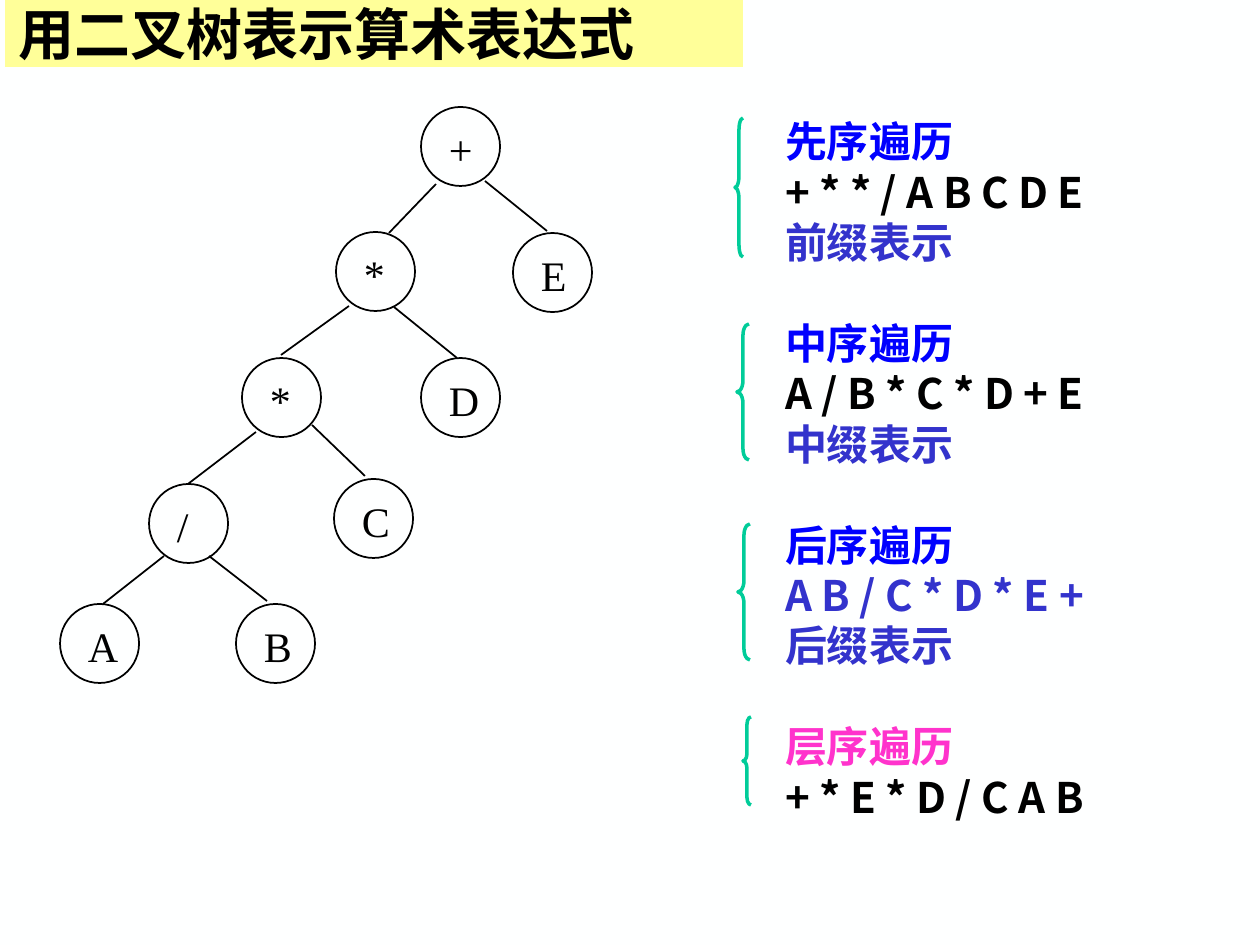
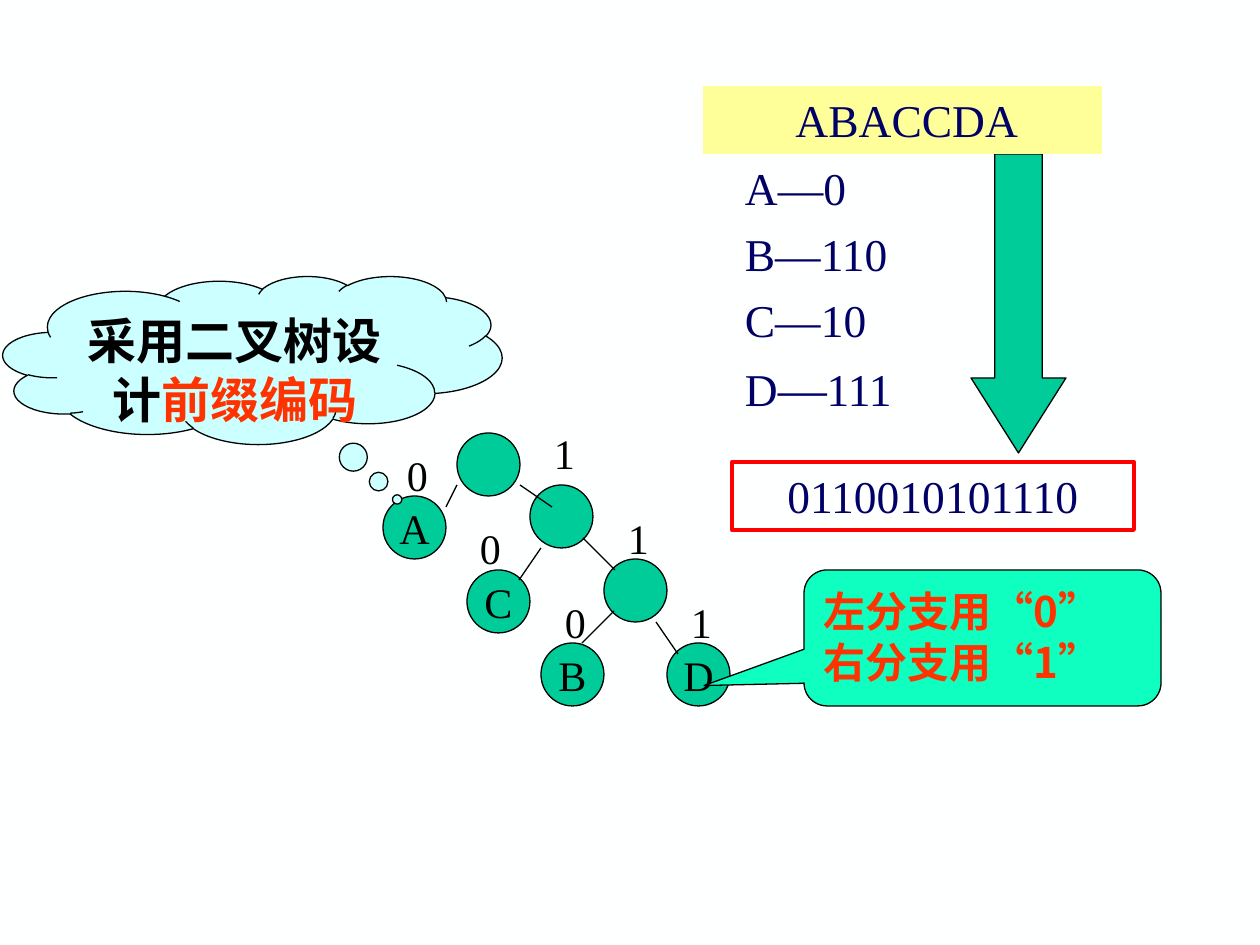
"""Build two slides on binary trees: arithmetic expressions and prefix codes."""
from lxml.etree import SubElement
from pptx import Presentation
from pptx.dml.color import RGBColor
from pptx.enum.shapes import MSO_CONNECTOR, MSO_SHAPE
from pptx.enum.text import MSO_ANCHOR, PP_ALIGN
from pptx.oxml.ns import qn
from pptx.util import Emu, Pt

SCALE = 914400 / 126
LEADING = 1.2
SERIF, SANS = "Times New Roman", "Noto Sans CJK SC"
COLORS = {
    "background": "FEFFFF", "black": "000000", "band": "FFFF99", "green": "00CC99",
    "blue": "0000FF", "indigo": "3333CC", "pink": "FF33CC", "navy": "000066",
    "orange": "FF3300", "red": "FF0000", "cloud": "CCFFFF", "mint": "0FFFC0",
}

TITLE = "用二叉树表示算术表达式"
EXPRESSION_NODES = [
    ("+", 421, 107), ("*", 336, 232), ("E", 513, 233),
    ("*", 242, 358), ("D", 421, 358), ("/", 149, 484),
    ("C", 334, 479), ("A", 60, 604), ("B", 236, 604),
]
EXPRESSION_EDGES = [
    (436, 184, 389, 233), (485, 181, 547, 231), (349, 306, 281, 355),
    (394, 307, 457, 358), (256, 432, 188, 484), (312, 425, 365, 476),
    (164, 556, 103, 604), (209, 556, 267, 601),
]
TRAVERSALS = [
    [("先序遍历", "blue"), ("+ * * / A B C D E", "black"), ("前缀表示", "indigo")],
    [("中序遍历", "blue"), ("A / B * C * D + E", "black"), ("中缀表示", "indigo")],
    [("后序遍历", "blue"), ("A B / C * D * E +", "indigo"), ("后缀表示", "indigo")],
    [("层序遍历", "pink"), ("+ * E * D / C A B", "black")],
]
BRACES = [(735, 118, 8, 139), (737, 324, 12, 136), (738, 524, 12, 136), (743, 717, 8, 88)]

CODE_NODES = [
    ("", 457, 433), ("", 530, 485), ("", 604, 559), ("A", 383, 496),
    ("C", 467, 570), ("B", 541, 643), ("D", 667, 643),
]
CODE_EDGES = [
    (457, 485, 446, 507), (520, 485, 552, 507), (541, 548, 519, 580),
    (614, 611, 582, 643), (656, 622, 678, 654), (583, 538, 615, 570),
]
BRANCH_BITS = [
    ("0", 394, 444), ("0", 467, 517), ("0", 552, 591),
    ("1", 541, 422), ("1", 615, 507), ("1", 678, 591),
]
CODES = [["A—0"], ["B—110"], ["C—10"], ["D", ("—", {"size": 28}), "111"]]
CLOUD_TEXT = [["采用二叉树设计", ("前缀编码", {"color": "orange"})]]
BRANCH_RULES = [["左分支用“0”"], ["右分支用“1”"]]


def px(*lengths):
    return [Emu(round(length * SCALE)) for length in lengths]


def rgb(name):
    return RGBColor.from_string(COLORS[name])


def write(shape, paragraphs, size=24, font=SERIF, color="black", bold=False,
          align=PP_ALIGN.LEFT, anchor=MSO_ANCHOR.TOP, wrap=True, gap=0, gap_every=1):
    """Fill a shape with paragraphs, each a list of texts or (text, overrides)."""
    frame = shape.text_frame
    frame.word_wrap, frame.vertical_anchor = wrap, anchor
    top_inset = 9 if font == SANS else 6
    frame.margin_left, frame.margin_top, frame.margin_right, frame.margin_bottom = px(
        13, top_inset, 13, 6)
    for index, pieces in enumerate(paragraphs):
        paragraph = frame.add_paragraph() if index else frame.paragraphs[0]
        paragraph.alignment = align
        if index and index % gap_every == 0:
            paragraph.space_before = Pt(gap)
        largest = size
        for piece in pieces:
            text, changes = (piece, {}) if isinstance(piece, str) else piece
            run = paragraph.add_run()
            run.text = text
            run_size = changes.get("size", size)
            largest = max(largest, run_size)
            run.font.size, run.font.bold, run.font.name = Pt(run_size), bold, font
            run.font.color.rgb = rgb(changes.get("color", color))
            SubElement(run.font._element, qn("a:ea"), typeface=font)
        paragraph.line_spacing = Pt(LEADING * largest)


def add_shape(slide, kind, box, fill=None, line=None, width=0.75, adjustments=()):
    shape = slide.shapes.add_shape(kind, *px(*box))
    shape.shadow.inherit = False
    if fill:
        shape.fill.solid()
        shape.fill.fore_color.rgb = rgb(fill)
    else:
        shape.fill.background()
    if line:
        shape.line.color.rgb = rgb(line)
        shape.line.width = Pt(width)
    else:
        shape.line.fill.background()
    for index, value in enumerate(adjustments):
        shape.adjustments[index] = value
    return shape


def add_text(slide, box, paragraphs, **text_format):
    write(slide.shapes.add_textbox(*px(*box)), paragraphs, **text_format)


def add_edges(slide, edges, width):
    for edge in edges:
        connector = slide.shapes.add_connector(MSO_CONNECTOR.STRAIGHT, *px(*edge))
        connector.line.color.rgb = rgb("black")
        connector.line.width = Pt(width)
        SubElement(connector._element.spPr, qn("a:effectLst"))


def build_expression_slide(slide):
    for label, left, top in EXPRESSION_NODES:
        add_shape(slide, MSO_SHAPE.OVAL, (left, top, 79, 79), line="black", width=1)
        add_text(slide, (left + 15, top + 11, 60, 63), [[label]])
    add_edges(slide, EXPRESSION_EDGES, 1)

    lines = [[(text, {"color": color})] for group in TRAVERSALS for text, color in group]
    add_text(slide, (772, 107, 345, 718), lines, font=SANS, bold=True,
             gap=24 * LEADING, gap_every=3)
    for left, top, width, height in BRACES:
        add_shape(slide, MSO_SHAPE.LEFT_BRACE, (left, top, width, height), line="green",
                  width=2, adjustments=(height / 12 / width, 0.5))

    title = add_shape(slide, MSO_SHAPE.RECTANGLE, (5, -4, 738, 71), fill="band")
    write(title, [[TITLE]], size=32, font=SANS, bold=True, anchor=MSO_ANCHOR.MIDDLE)


def build_code_slide(slide):
    for label, left, top in CODE_NODES:
        node = add_shape(slide, MSO_SHAPE.OVAL, (left, top, 63, 63), fill="green", line="black")
        if label:
            write(node, [[label]], align=PP_ALIGN.CENTER, anchor=MSO_ANCHOR.MIDDLE, wrap=False)
    add_edges(slide, CODE_EDGES, 0.75)
    for bit, left, top in BRANCH_BITS:
        add_text(slide, (left, top, 73, 63), [[bit]])

    cloud = add_shape(slide, MSO_SHAPE.CLOUD_CALLOUT, (3, 276, 499, 168), fill="cloud",
                      line="black", adjustments=(0.29, 0.83))
    write(cloud, CLOUD_TEXT, size=28, font=SANS, bold=True, align=PP_ALIGN.CENTER)
    rules = add_shape(slide, MSO_SHAPE.ROUNDED_RECTANGULAR_CALLOUT, (804, 570, 357, 136),
                      fill="mint", line="black", adjustments=(-0.78, 0.35, 0.17))
    write(rules, BRANCH_RULES, font=SANS, color="orange", bold=True)

    add_text(slide, (732, 154, 192, 488), CODES, size=26, color="navy", gap=6.5)
    add_shape(slide, MSO_SHAPE.DOWN_ARROW, (971, 154, 95, 299), fill="green",
              line="black", adjustments=(0.5, 0.79))
    encoded = add_shape(slide, MSO_SHAPE.RECTANGLE, (732, 462, 402, 68), line="red", width=2.25)
    message = add_shape(slide, MSO_SHAPE.RECTANGLE, (703, 86, 399, 68), fill="band")
    for shape, text in ((encoded, "0110010101110"), (message, " ABACCDA")):
        write(shape, [[text]], size=26, color="navy", align=PP_ALIGN.CENTER)


def main():
    presentation = Presentation()
    presentation.slide_width, presentation.slide_height = px(1260, 945)
    background = presentation.slide_master.background.fill
    background.solid()
    background.fore_color.rgb = rgb("background")
    for build in (build_expression_slide, build_code_slide):
        build(presentation.slides.add_slide(presentation.slide_layouts[6]))
    presentation.save("out.pptx")


if __name__ == "__main__":
    main()
